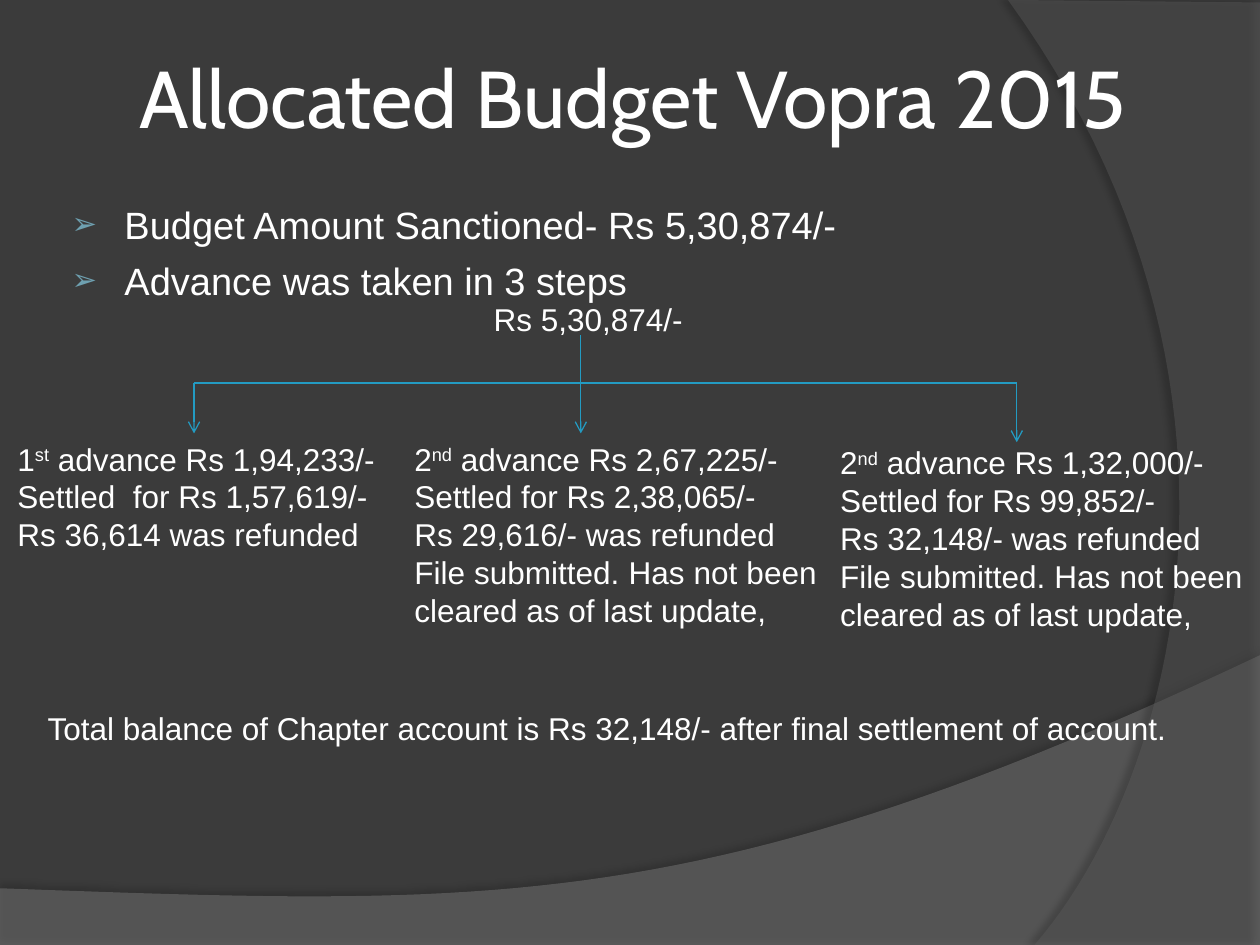
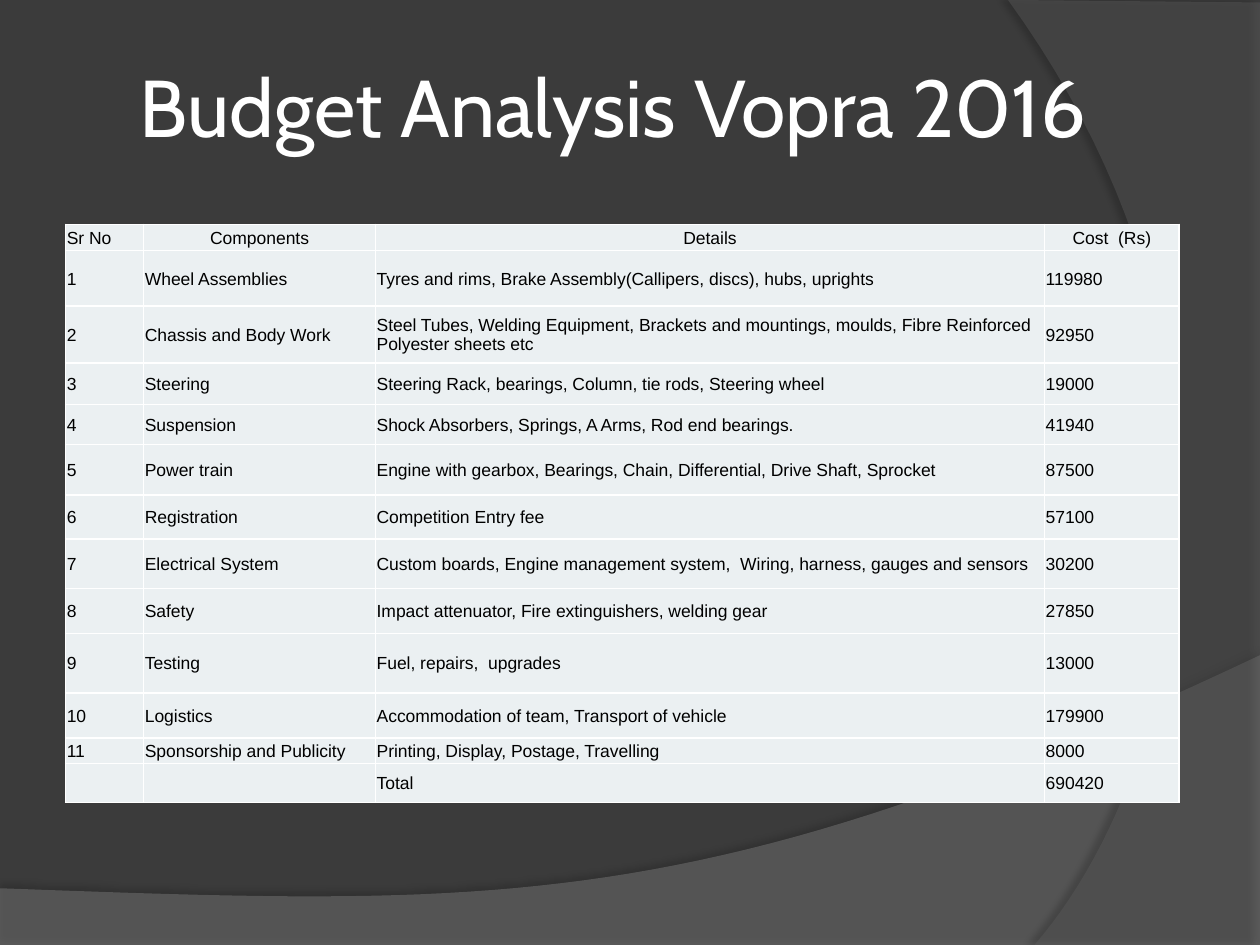
from lxml.etree import SubElement
from pptx import Presentation
from pptx.dml.color import RGBColor
from pptx.enum.shapes import MSO_CONNECTOR
from pptx.enum.text import MSO_ANCHOR, PP_ALIGN
from pptx.oxml.ns import qn
from pptx.util import Inches, Pt

BACKGROUND = RGBColor(0x3B, 0x3B, 0x3B)
WAVE = RGBColor(0x7F, 0x7F, 0x7F)
ARC = RGBColor(0x5E, 0x5E, 0x5E)
WHITE = RGBColor(0xFF, 0xFF, 0xFF)
BLACK = RGBColor(0x00, 0x00, 0x00)
BULLET = RGBColor(0x6E, 0xA0, 0xB0)
BRANCH = RGBColor(0x23, 0x9B, 0xC2)
CELL = RGBColor(0xEB, 0xF0, 0xF2)

TITLE_FONT = "Cabin"
BODY_FONT = "Arial"

PENDING = "File submitted. Has not been cleared as of last update,"
ADVANCES = [
    ((0.04, 3.44, 4.33, 1.01),
     ["1^st^ advance Rs 1,94,233/-", "Settled  for Rs 1,57,619/- ", "Rs 36,614 was refunded"]),
    ((3.19, 3.44, 3.39, 1.62),
     ["2^nd^ advance Rs 2,67,225/-", "Settled for Rs 2,38,065/-", "Rs 29,616/- was refunded", PENDING]),
    ((6.57, 3.47, 3.39, 1.62),
     ["2^nd^ advance Rs 1,32,000/-", "Settled for Rs 99,852/-", "Rs 32,148/- was refunded", PENDING]),
]

COLUMN_WIDTHS = [0.62, 1.84, 5.31, 1.07]
HEADINGS = ["Sr No", "Components", "Details", "Cost  (Rs)"]
HEADING_HEIGHT = 0.21
COMPONENTS = [
    (0.44, "Wheel Assemblies", "Tyres and rims, Brake Assembly(Callipers, discs), hubs, uprights", "119980"),
    (0.45, "Chassis and Body Work",
     "Steel Tubes, Welding Equipment, Brackets and mountings, moulds, "
     "Fibre Reinforced Polyester sheets etc", "92950"),
    (0.33, "Steering", "Steering Rack, bearings, Column, tie rods, Steering wheel", "19000"),
    (0.32, "Suspension", "Shock Absorbers, Springs, A Arms, Rod end bearings.", "41940"),
    (0.40, "Power train", "Engine with gearbox, Bearings, Chain, Differential, Drive Shaft, Sprocket", "87500"),
    (0.35, "Registration", "Competition Entry fee", "57100"),
    (0.39, "Electrical System",
     "Custom boards, Engine management system,  Wiring, harness, gauges and sensors", "30200"),
    (0.36, "Safety", "Impact attenuator, Fire extinguishers, welding gear", "27850"),
    (0.47, "Testing", "Fuel, repairs,  upgrades", "13000"),
    (0.36, "Logistics", "Accommodation of team, Transport of vehicle", "179900"),
    (0.20, "Sponsorship and Publicity", "Printing, Display, Postage, Travelling", "8000"),
]
TOTAL_HEIGHT = 0.3
TOTAL = ["", "", "Total", "690420"]


def write_text(frame, lines, size=18, font=BODY_FONT, color=WHITE, align=PP_ALIGN.LEFT, bullet=None):
    """Fill a text frame, one paragraph a line; text between carets is superscript."""
    frame.word_wrap = True
    for number, line in enumerate(lines):
        para = frame.add_paragraph() if number else frame.paragraphs[0]
        para.alignment = align
        if bullet:
            add_bullet(para, bullet)
        for position, piece in enumerate(line.split("^")):
            span = para.add_run()
            span.text = piece
            span.font.size = Pt(size)
            span.font.name = font
            span.font.color.rgb = color
            if position % 2:
                span.font._element.set("baseline", "30000")


def add_bullet(para, character):
    para.space_before = Pt(6)
    properties = para._p.get_or_add_pPr()
    properties.set("marL", str(Inches(0.46)))
    properties.set("indent", str(Inches(-0.42)))
    bullet_color = SubElement(properties, qn("a:buClr"))
    SubElement(bullet_color, qn("a:srgbClr"), val=str(BULLET))
    SubElement(properties, qn("a:buSzPct"), val="80000")
    SubElement(properties, qn("a:buFont"), typeface=BODY_FONT)
    SubElement(properties, qn("a:buChar"), char=character)


def add_text(page, place, lines, **text_format):
    box = page.shapes.add_textbox(*map(Inches, place))
    write_text(box.text_frame, lines, **text_format)
    return box


def add_title(page, place, text):
    frame = add_text(page, place, [text], size=46, font=TITLE_FONT).text_frame
    frame.vertical_anchor = MSO_ANCHOR.MIDDLE
    frame.margin_left = frame.margin_right = Inches(0.05)


def curve_points(start, control_1, control_2, end, steps=48):
    """Points along a cubic Bezier curve, both ends included."""
    points = []
    for step in range(steps + 1):
        t = step / steps
        weights = ((1 - t) ** 3, 3 * t * (1 - t) ** 2, 3 * t ** 2 * (1 - t), t ** 3)
        points.append(tuple(
            sum(weight * value for weight, value in zip(weights, axis))
            for axis in zip(start, control_1, control_2, end)))
    return points


def add_band(page, points, color, opacity, shadow_opacity, distance, direction):
    """Draw a translucent outline with a soft shadow; opacities are percentages."""
    outline = [(Inches(x), Inches(y)) for x, y in points]
    builder = page.shapes.build_freeform(*outline[0])
    builder.add_line_segments(outline[1:], close=True)
    band = builder.convert_to_shape()
    band.fill.solid()
    band.fill.fore_color.rgb = color
    band.line.fill.background()
    band.shadow.inherit = False
    properties = band._element.spPr
    fill_color = properties.find(qn("a:solidFill")).find(qn("a:srgbClr"))
    SubElement(fill_color, qn("a:alpha"), val=str(opacity * 1000))
    shadow = SubElement(properties.find(qn("a:effectLst")), qn("a:outerShdw"),
                        blurRad=str(Pt(4)), dist=str(Pt(distance)),
                        dir=str(direction * 60000), algn="ctr", rotWithShape="0")
    shadow_color = SubElement(shadow, qn("a:srgbClr"), val=str(BLACK))
    SubElement(shadow_color, qn("a:alpha"), val=str(shadow_opacity * 1000))


def add_page(deck):
    """Add a slide with the dark background and its two curved bands."""
    page = deck.slides.add_slide(deck.slide_layouts[6])
    page.background.fill.solid()
    page.background.fill.fore_color.rgb = BACKGROUND
    wave = curve_points((10, 5.2), (5.59, 7.29), (3.91, 7.19), (0, 7.05))
    add_band(page, [(0, 7.51), (10, 7.51)] + wave, WAVE, 45, 35, 3.5, 270)
    arc = curve_points((8.21, 7.5), (9.35, 6.19), (10.18, 3), (8, 0))
    add_band(page, [(10, 0.02), (10, 7.5)] + arc, ARC, 40, 45, 4, 180)
    return page


def add_line(page, start, end, arrow=False):
    line = page.shapes.add_connector(MSO_CONNECTOR.STRAIGHT, *map(Inches, start + end))
    line.line.color.rgb = BRANCH
    line.line.width = Pt(0.75)
    if arrow:
        SubElement(line.line._get_or_add_ln(), qn("a:tailEnd"), type="arrow")
    SubElement(line._element.spPr, qn("a:effectLst"))


def add_branches(page):
    """Split the sanctioned amount into its three advances."""
    bar = 3.04
    left, middle, right = 1.54, 4.61, 8.07
    add_line(page, (left, bar), (right, bar))
    add_line(page, (middle, 2.66), (middle, bar))
    for x, tip in ((left, 3.44), (middle, 3.44), (right, 3.51)):
        add_line(page, (x, bar), (x, tip), arrow=True)


def add_cell_borders(cell):
    properties = cell._tc.get_or_add_tcPr()
    for index, side in enumerate(("a:lnL", "a:lnR", "a:lnT", "a:lnB")):
        border = SubElement(properties, qn(side), w=str(Pt(1)))
        SubElement(SubElement(border, qn("a:solidFill")), qn("a:srgbClr"), val=str(WHITE))
        properties.insert(index, border)


def fill_cell(cell, text, align):
    cell.fill.solid()
    cell.fill.fore_color.rgb = CELL
    cell.vertical_anchor = MSO_ANCHOR.MIDDLE
    cell.margin_left = cell.margin_right = cell.margin_top = Inches(0.01)
    cell.margin_bottom = 0
    write_text(cell.text_frame, [text], size=10, color=BLACK, align=align)
    add_cell_borders(cell)


def add_cost_table(page):
    rows = [HEADINGS]
    rows += [[str(number), *item[1:]] for number, item in enumerate(COMPONENTS, 1)]
    rows.append(TOTAL)
    heights = [HEADING_HEIGHT, *(item[0] for item in COMPONENTS), TOTAL_HEIGHT]
    place = map(Inches, (0.52, 1.78, sum(COLUMN_WIDTHS), sum(heights)))
    table = page.shapes.add_table(len(rows), len(COLUMN_WIDTHS), *place).table
    table.first_row = table.horz_banding = False
    for column, width in zip(table.columns, COLUMN_WIDTHS):
        column.width = Inches(width)
    for row_index, (texts, height) in enumerate(zip(rows, heights)):
        table.rows[row_index].height = Inches(height)
        for column_index, text in enumerate(texts):
            centred = row_index == 0 and column_index > 0
            fill_cell(table.cell(row_index, column_index), text,
                      PP_ALIGN.CENTER if centred else PP_ALIGN.LEFT)


def build_allocation(deck):
    page = add_page(deck)
    add_title(page, (1.06, 0.14, 9, 1.25), "Allocated Budget Vopra 2015")
    add_text(page, (0.43, 1.55, 9, 0.82),
             ["Budget Amount Sanctioned- Rs 5,30,874/-", "Advance was taken in 3 steps"],
             size=21.7, align=PP_ALIGN.JUSTIFY, bullet="➢")
    add_text(page, (0.28, 5.58, 9.21, 0.71),
             ["Total balance of Chapter account is Rs 32,148/- after final settlement of account."],
             align=PP_ALIGN.JUSTIFY)
    add_text(page, (3.82, 2.33, 2.91, 0.4), ["Rs 5,30,874/-"])
    add_branches(page)
    for place, lines in ADVANCES:
        add_text(page, place, lines, align=PP_ALIGN.JUSTIFY)


def build_analysis(deck):
    page = add_page(deck)
    add_title(page, (1.06, 0.21, 8.17, 1.25), "Budget Analysis Vopra 2016")
    add_cost_table(page)


def main():
    deck = Presentation()
    deck.slide_width = Inches(10)
    deck.slide_height = Inches(7.5)
    build_allocation(deck)
    build_analysis(deck)
    deck.save("out.pptx")


if __name__ == "__main__":
    main()
